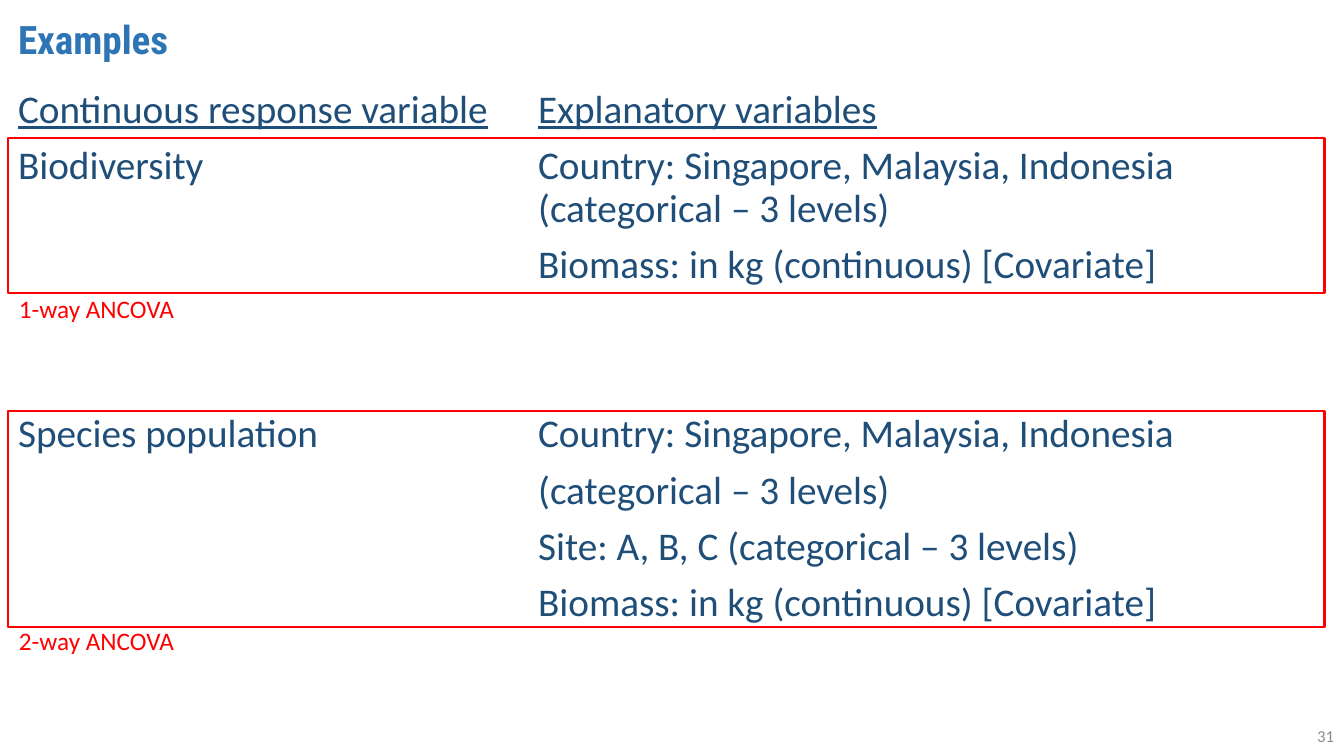
from pptx import Presentation
from pptx.dml.color import RGBColor
from pptx.enum.shapes import MSO_SHAPE as Shape
from pptx.enum.text import MSO_ANCHOR as Anchor, PP_ALIGN as Align
from pptx.util import Pt

BLUE, NAVY, RED, GRAY = "2E75B6", "1F4E79", "FF0000", "8C8C8C"
MARGIN = 5.8
GAP = 10  # usual space before a paragraph in a column


def color(hex_string):
    return RGBColor.from_string(hex_string)


def add_box(slide, left, top, width, height, anchor=Anchor.TOP):
    shape = slide.shapes.add_textbox(Pt(left), Pt(top), Pt(width), Pt(height))
    frame = shape.text_frame
    frame.word_wrap = True
    frame.vertical_anchor = anchor
    return frame


def style(paragraph, text, size, hex_string, font_name="Calibri"):
    paragraph.text = text
    font = paragraph.font
    font.name, font.size = font_name, Pt(size)
    font.color.rgb = color(hex_string)


def add_title(slide, text):
    paragraph = add_box(slide, MARGIN, 8.6, 947.5, 43.2, Anchor.MIDDLE).paragraphs[0]
    style(paragraph, text, 28, BLUE, "Roboto Condensed")
    paragraph.font.bold = True
    paragraph.line_spacing = 0.9


def add_column(slide, left, width, heading, entries):
    """Underlined heading, then (text, space before) entries."""
    frame = add_box(slide, left, 60.5, width, 478)
    for index, (text, space) in enumerate([(heading, GAP)] + entries):
        paragraph = frame.add_paragraph() if index else frame.paragraphs[0]
        style(paragraph, text, 28, NAVY)
        paragraph.font.underline = index == 0
        paragraph.line_spacing = 0.9
        paragraph.space_before = Pt(space)


def add_example_frame(slide, top, height, label, label_top):
    shape = slide.shapes.add_shape(
        Shape.RECTANGLE, Pt(MARGIN), Pt(top), Pt(940.3), Pt(height))
    shape.shadow.inherit = False
    shape.fill.background()
    shape.line.color.rgb = color(RED)
    shape.line.width = Pt(1.5)
    frame = add_box(slide, 6.5, label_top, 172, 29)
    style(frame.paragraphs[0], label, 18, RED)


def add_slide_number(slide, text):
    paragraph = add_box(slide, 744, 511.2, 216, 28.8, Anchor.MIDDLE).paragraphs[0]
    style(paragraph, text, 12, GRAY)
    paragraph.alignment = Align.RIGHT


def main():
    presentation = Presentation()
    presentation.slide_width, presentation.slide_height = Pt(960), Pt(540)
    slide = presentation.slides.add_slide(presentation.slide_layouts[6])

    add_title(slide, "Examples")

    # Variables, with a wide gap before the second example
    country = "Country: Singapore, Malaysia, Indonesia"
    levels = "(categorical – 3 levels)"
    biomass = "Biomass: in kg (continuous) [Covariate]"
    add_column(slide, MARGIN, 360.7, "Continuous response variable", [
        ("Biodiversity", GAP),
        ("Species population", 161),
    ])
    add_column(slide, 377.3, 576.7, "Explanatory variables", [
        (f"{country} {levels}", GAP),
        (biomass, GAP),
        (country, 90.5),
        (levels, GAP),
        (f"Site: A, B, C {levels}", GAP),
        (biomass, GAP),
    ])

    # Red frames naming the analysis
    add_example_frame(slide, 98.9, 110.2, "1-way ANCOVA", 206)
    add_example_frame(slide, 293.8, 154.1, "2-way ANCOVA", 443)

    add_slide_number(slide, "31")
    presentation.save("out.pptx")


if __name__ == "__main__":
    main()
